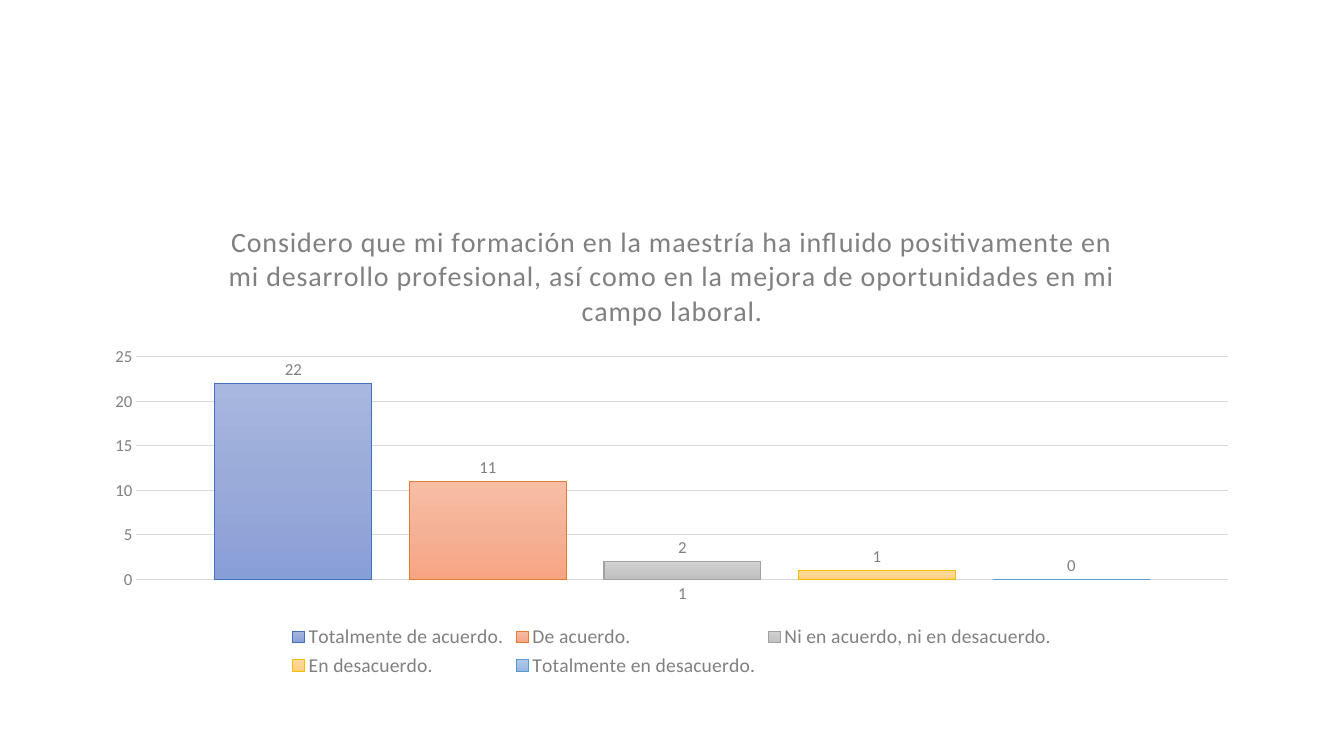
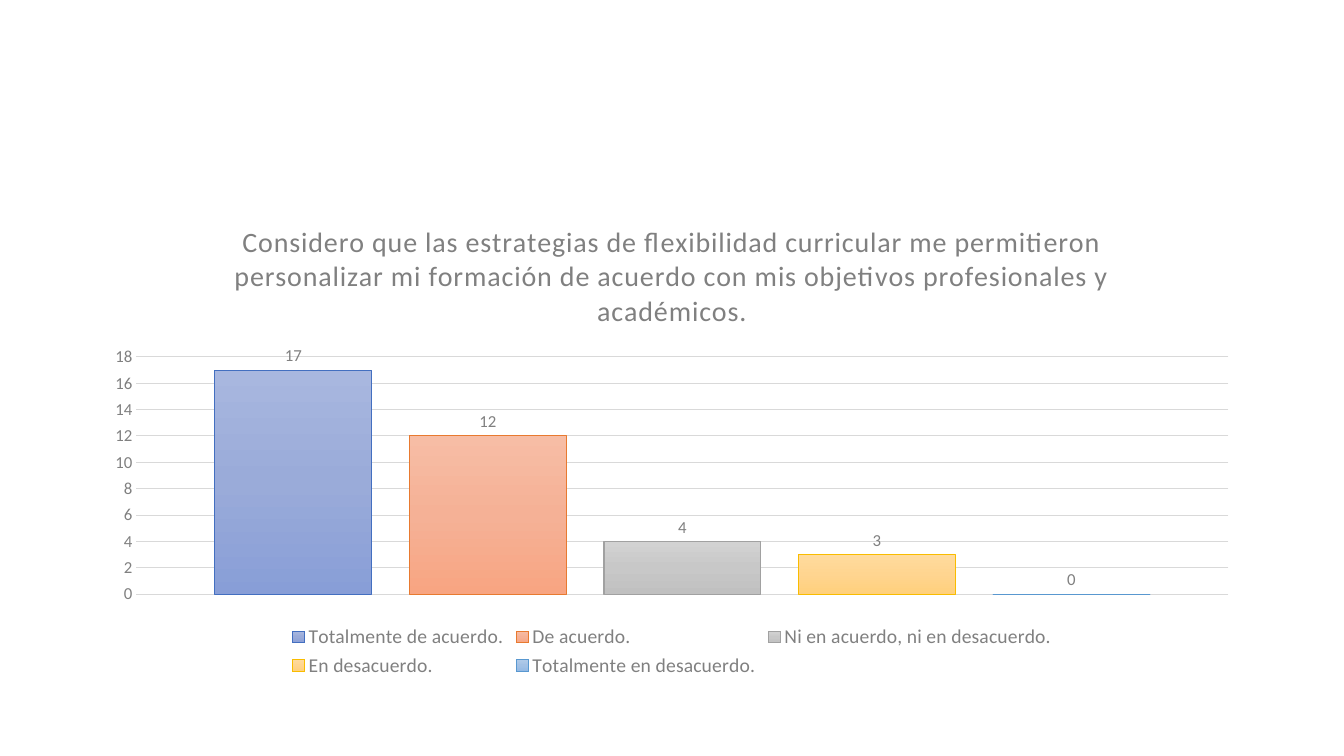
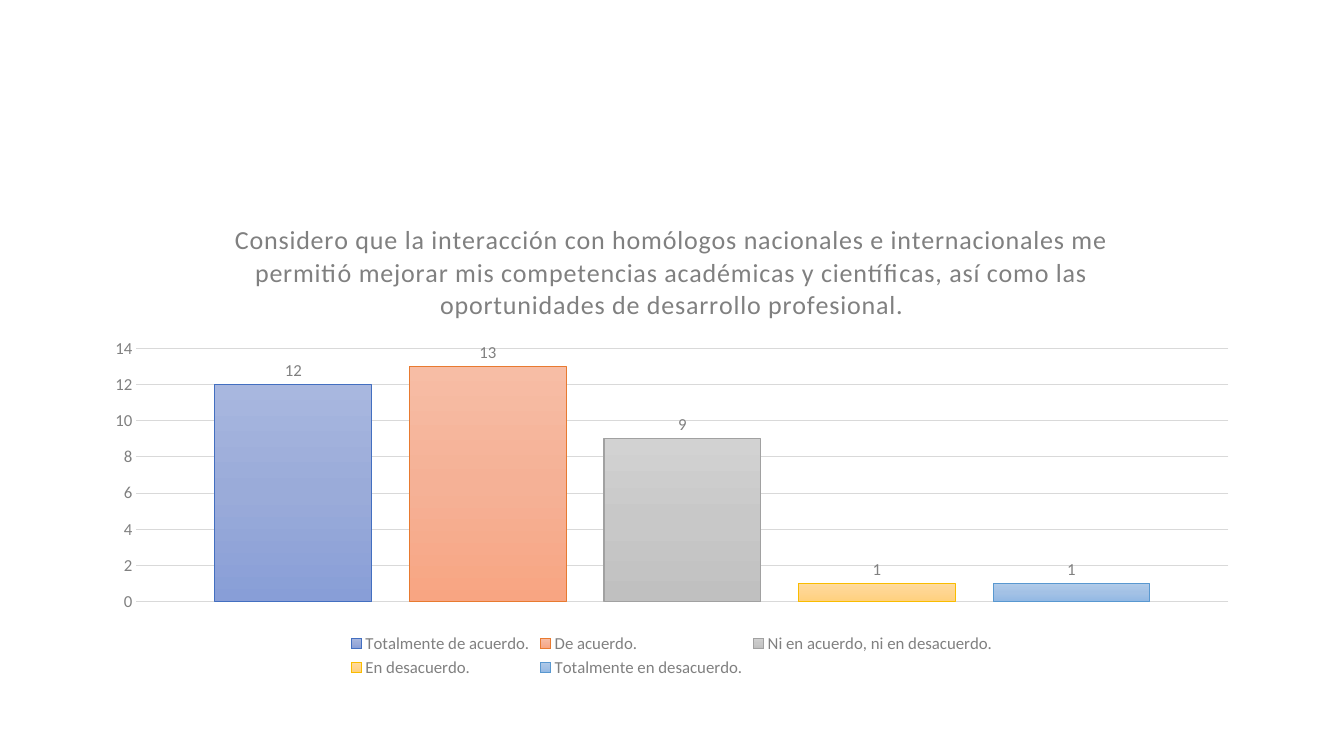
import copy

import lxml.etree
import pptx
import pptx.chart.data
import pptx.dml.color
import pptx.enum.chart
import pptx.oxml.ns
import pptx.util

PX = 9525  # EMU per px
qn = pptx.oxml.ns.qn

# Answers: name, gradient stops from top to bottom, outline
ANSWERS = [
    ("Totalmente de acuerdo.", ("A8B7DF", "9AABD9", "889ED7"), "436FC0"),
    ("De acuerdo.", ("F7BDA5", "F5B196", "F8A582"), "E87A30"),
    ("Ni en acuerdo, ni en desacuerdo.", ("D2D2D2", "C8C8C8", "C0C0C0"), "A1A1A1"),
    ("En desacuerdo.", ("FFDB9E", "FFD590", "FFD07C"), "F9BC00"),
    ("Totalmente en desacuerdo.", ("B1CBE9", "A3C1E5", "93B9E4"), "5998D0"),
]

# Survey questions; plot is the top and bottom of the plot area in px
QUESTIONS = [
    dict(title="Considero que mi formación en la maestría ha influido positivamente en mi "
               "desarrollo profesional, así como en la mejora de oportunidades en mi campo "
               "laboral.",
         values=(22, 11, 2, 1, 0), top=25, step=5, plot=(340, 552), show_category=True),
    dict(title="Considero que las estrategias de flexibilidad curricular me permitieron "
               "personalizar mi formación de acuerdo con mis objetivos profesionales y "
               "académicos.",
         values=(17, 12, 4, 3, 0), top=18, step=2, plot=(340, 566)),
    dict(title="Considero que la interacción con homólogos nacionales e internacionales me "
               "permitió mejorar mis competencias académicas y científicas, así como las "
               "oportunidades de desarrollo profesional.",
         values=(12, 13, 9, 1, 1), top=14, step=2, plot=(332, 573),
         title_size=18.6, legend_size=12),
]


def px(n):
    return pptx.util.Emu(n * PX)


def rgb(value):
    return pptx.dml.color.RGBColor.from_string(value)


class Deck:
    FONT, TEXT, RULE = "Calibri", "808080", "D9D9D9"
    LEFT, TOP, WIDTH, HEIGHT = 88, 192, 1104, 457
    PLOT_LEFT, PLOT_RIGHT = 130, 1170

    def __init__(self):
        self.prs = pptx.Presentation()
        self.prs.slide_width, self.prs.slide_height = px(1280), px(720)
        self.s = None

    def add_slide(self):
        self.s = self.prs.slides.add_slide(self.prs.slide_layouts[6])

    def style_font(self, font, size):
        font.name, font.size, font.bold = self.FONT, pptx.util.Pt(size), False
        font.color.rgb = rgb(self.TEXT)

    def style_line(self, line, color):
        line.color.rgb, line.width = rgb(color), pptx.util.Pt(0.75)

    def chart(self, title, values, top, step, plot, show_category=False,
              title_size=20, legend_size=14):
        data = pptx.chart.data.CategoryChartData()
        data.categories = ["1"]
        for (name, _, _), value in zip(ANSWERS, values):
            data.add_series(name, [value])
        chart = self.s.shapes.add_chart(
            pptx.enum.chart.XL_CHART_TYPE.COLUMN_CLUSTERED,
            px(self.LEFT), px(self.TOP), px(self.WIDTH), px(self.HEIGHT), data).chart
        self.style_font(chart.font, 12)
        self.title(chart, title, title_size)
        self.legend(chart, legend_size)
        self.axes(chart, top, step, show_category)
        self.columns(chart.plots[0])
        self.place_plot(chart, *plot)

    def title(self, chart, text, size):
        p = chart.chart_title.text_frame.paragraphs[0]
        p.text = text
        r = p.runs[0]
        self.style_font(p.font, size)
        self.style_font(r.font, size)
        r.font._element.set("spc", "50")

    def legend(self, chart, size):
        chart.has_legend = True
        chart.legend.position = pptx.enum.chart.XL_LEGEND_POSITION.BOTTOM
        chart.legend.include_in_layout = False
        self.style_font(chart.legend.font, size)

    def axes(self, chart, top, step, show_category):
        for axis in (chart.category_axis, chart.value_axis):
            axis.major_tick_mark = pptx.enum.chart.XL_TICK_MARK.NONE
            axis.minor_tick_mark = pptx.enum.chart.XL_TICK_MARK.NONE
            self.style_font(axis.tick_labels.font, 12)
        self.style_line(chart.category_axis.format.line, self.RULE)
        chart.category_axis.visible = show_category
        axis = chart.value_axis
        axis.minimum_scale, axis.maximum_scale, axis.major_unit = 0, top, step
        axis.format.line.fill.background()
        self.style_line(axis.major_gridlines.format.line, self.RULE)

    def columns(self, plot):
        plot.gap_width, plot.overlap, plot.vary_by_categories = 100, -24, False
        for series, (_, stops, outline) in zip(plot.series, ANSWERS):
            self.gradient(series, stops)
            self.style_line(series.format.line, outline)
            labels = series.data_labels
            labels.show_value = True
            labels.position = pptx.enum.chart.XL_LABEL_POSITION.OUTSIDE_END
            self.style_font(labels.font, 12)

    def gradient(self, series, stops):
        fill = series.format.fill
        fill.gradient()
        fill.gradient_angle = 270
        # The default gradient has two stops; add one halfway
        stop_list = next(series._element.iter(qn("a:gsLst")))
        middle = copy.deepcopy(stop_list[0])
        middle.set("pos", "50000")
        stop_list.insert(1, middle)
        for stop, color in zip(fill.gradient_stops, stops):
            stop.color.rgb = rgb(color)

    def place_plot(self, chart, top, bottom):
        area = next(chart._chartSpace.iter(qn("c:plotArea")))
        for old in area.findall(qn("c:layout")):
            area.remove(old)
        layout = lxml.etree.Element(qn("c:layout"))
        manual = lxml.etree.SubElement(layout, qn("c:manualLayout"))
        settings = {
            "layoutTarget": "inner", "xMode": "edge", "yMode": "edge",
            "x": (self.PLOT_LEFT - self.LEFT) / self.WIDTH,
            "y": (top - self.TOP) / self.HEIGHT,
            "w": (self.PLOT_RIGHT - self.PLOT_LEFT) / self.WIDTH,
            "h": (bottom - top) / self.HEIGHT,
        }
        for tag, value in settings.items():
            lxml.etree.SubElement(manual, qn("c:" + tag)).set("val", str(value))
        area.insert(0, layout)


def main():
    deck = Deck()
    for question in QUESTIONS:
        deck.add_slide()
        deck.chart(**question)
    deck.prs.save("out.pptx")


if __name__ == "__main__":
    main()
